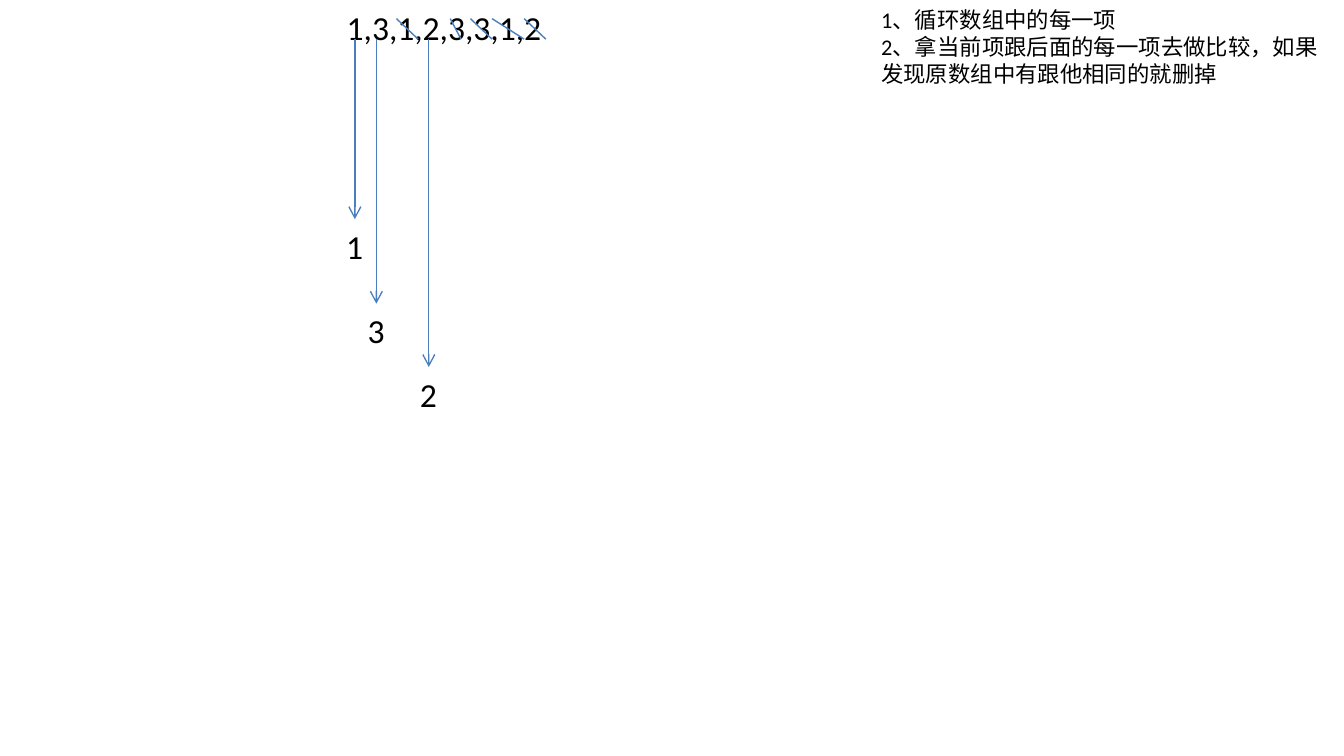
from pptx import Presentation
from pptx.dml.color import RGBColor
from pptx.enum.shapes import MSO_CONNECTOR
from pptx.enum.text import MSO_AUTO_SIZE
from pptx.oxml.ns import qn
from pptx.util import Pt
from lxml import etree

STRAIGHT = MSO_CONNECTOR.STRAIGHT
FIT_SHAPE = MSO_AUTO_SIZE.SHAPE_TO_FIT_TEXT
BLACK = RGBColor(0x00, 0x00, 0x00)
BLUE = RGBColor(0x4B, 0x7E, 0xBC)
FONT = "Calibri"

ARRAY = "1,3,1,2,3,3,1,2"
STEPS = ["1、循环数组中的每一项",
         "2、拿当前项跟后面的每一项去做比较，如果发现原数组中有跟他相同的就删掉"]
# Kept items: digit, arrow x and arrow end, from the array box corner
KEPT = [("1", 11.5, 117.4), ("3", 23, 162.7), ("2", 51.1, 196.6)]
# Deleted items: start and end x of each strike
DELETED = [(33.8, 45.4), (62.6, 68.4), (73.4, 85), (85, 102.2), (102.2, 113.8)]
STRIKE_TOP, STRIKE_BOTTOM = 10, 21
DIGIT_WIDTH, LINE_HEIGHT = 23.6, 29


def add_text(page, left, top, width, height, lines, size, wrap=False):
    box = page.shapes.add_textbox(Pt(left), Pt(top), Pt(width), Pt(height))
    frame = box.text_frame
    frame.word_wrap = wrap
    frame.auto_size = FIT_SHAPE
    frame.text = "\n".join(lines)
    for para in frame.paragraphs:
        for span in para.runs:
            span.font.size = Pt(size)
            span.font.name = FONT
            span.font.color.rgb = BLACK


def add_line(page, x1, y1, x2, y2, arrow=False):
    line = page.shapes.add_connector(STRAIGHT, Pt(x1), Pt(y1), Pt(x2), Pt(y2))
    line.line.color.rgb = BLUE
    line.line.width = Pt(0.75)
    properties = line._element.spPr
    if arrow:
        outline = properties.find(qn("a:ln"))
        etree.SubElement(outline, qn("a:tailEnd"), type="arrow")
    etree.SubElement(properties, qn("a:effectLst"))


def draw_array(page, left, top, width):
    """The array, its struck-out duplicates and the items that remain."""
    add_text(page, left, top, width, LINE_HEIGHT, [ARRAY], 18)
    for start, end in DELETED:
        add_line(page, left + start, top + STRIKE_TOP,
                 left + end, top + STRIKE_BOTTOM)
    for digit, offset, drop in KEPT:
        x, end = left + offset, top + drop
        add_line(page, x, top + STRIKE_BOTTOM, x, end, arrow=True)
        add_text(page, x - DIGIT_WIDTH / 2, end, DIGIT_WIDTH, LINE_HEIGHT,
                 [digit], 18)


def draw_steps(page, left, top, width, height):
    """The explanation of the algorithm."""
    add_text(page, left, top, width, height, STEPS, 12, wrap=True)


deck = Presentation()
deck.slide_width, deck.slide_height = Pt(720), Pt(405)
page = deck.slides.add_slide(deck.slide_layouts[6])
draw_array(page, 178.6, 0, 120.4)
draw_steps(page, 465, 0, 255, 51)
deck.save("out.pptx")
